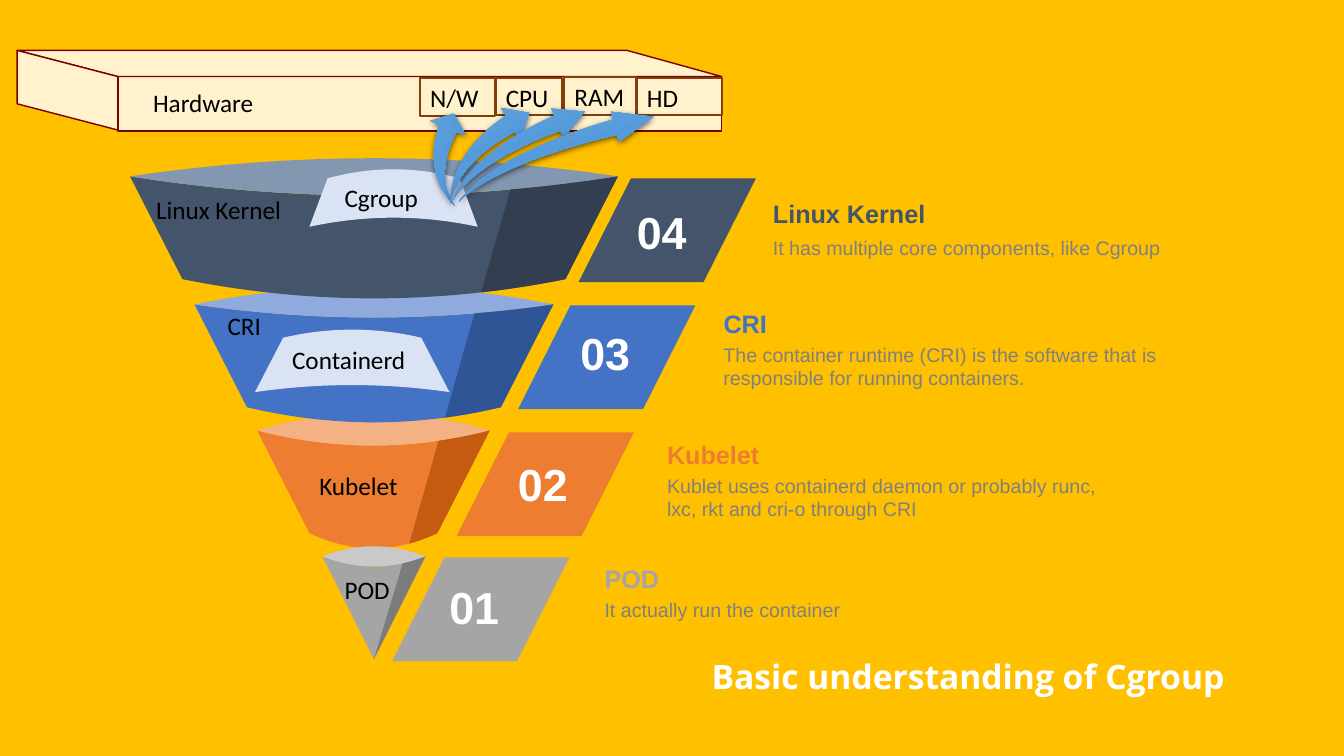
from copy import deepcopy
from dataclasses import dataclass
from math import cos, radians, sin

from lxml.etree import SubElement
from pptx import Presentation
from pptx.dml.color import RGBColor
from pptx.enum.shapes import MSO_SHAPE
from pptx.enum.text import MSO_ANCHOR, MSO_AUTO_SIZE, PP_ALIGN
from pptx.oxml.ns import qn
from pptx.util import Cm, Pt

Point = tuple[float, float]
Segment = list[Point]  # one point: line, two: quadratic curve, three: cubic curve

AMBER = RGBColor(0xFF, 0xC0, 0x00)
WHITE = RGBColor(0xFF, 0xFF, 0xFF)
BLACK = RGBColor(0x00, 0x00, 0x00)
GREY = RGBColor(0x80, 0x80, 0x80)
CREAM = RGBColor(0xFF, 0xF2, 0xCC)
MAROON = RGBColor(0x7A, 0x00, 0x00)
BROWN = RGBColor(0x84, 0x3C, 0x0B)
PALE_BLUE = RGBColor(0xDA, 0xE3, 0xF3)
# Body, rim and shaded side of each tier
SLATES = RGBColor(0x44, 0x54, 0x6A), RGBColor(0x84, 0x97, 0xB0), RGBColor(0x33, 0x3F, 0x50)
BLUES = RGBColor(0x44, 0x72, 0xC4), RGBColor(0x8F, 0xAA, 0xDC), RGBColor(0x2F, 0x55, 0x97)
ORANGES = RGBColor(0xED, 0x7D, 0x31), RGBColor(0xF4, 0xB1, 0x83), RGBColor(0xC5, 0x5A, 0x11)
SILVERS = RGBColor(0xA5, 0xA5, 0xA5), RGBColor(0xC9, 0xC9, 0xC9), RGBColor(0x7C, 0x7C, 0x7C)
ARROW_STOPS = RGBColor(0x71, 0xA6, 0xDB), RGBColor(0x55, 0x9B, 0xDB), RGBColor(0x44, 0x8A, 0xCA)

TIER_HEIGHT, TIER_INSET, SHADE_START = 1.02, 0.52, 0.78
PLATE_W, PLATE_H, PLATE_SLANT = 1.76, 1.03, 0.52


@dataclass
class Arc:
    """A shallow parabola; a positive sag hangs down."""
    left: float
    right: float
    y: float
    sag: float

    def blend(self, t: float, u: float) -> Point:
        """Point at t when t == u, else the control point between t and u."""
        return (self.left + (self.right - self.left) * (t + u) / 2,
                self.y + 4 * self.sag * ((t + u) / 2 - t * u))

    def curve(self, start: float, end: float) -> list[Segment]:
        ts = [start, 0.5, end] if min(start, end) < 0.5 else [start, end]
        return [[self.blend(t, u), self.blend(u, u)] for t, u in zip(ts, ts[1:])]


@dataclass
class Tier:
    number: str
    name: str
    detail: str
    colors: tuple[RGBColor, RGBColor, RGBColor]
    back: Arc
    lip: Arc
    sag: float
    label: Point
    label_w: float
    plate: Point
    number_at: Point
    caption: Point
    caption_w: float
    detail_gap: float
    detail_h: float


@dataclass
class Arrow:
    center: Point
    rotation: float
    tip: Point
    left_wing: Point
    left_neck: Point
    left_bend: Point
    tail: Point
    right_bend: Point
    right_neck: Point
    right_wing: Point


# Back to front: each upper tier covers the rim of the one below it
TIERS = [
    Tier("02", "Kubelet", "Kublet uses containerd daemon or probably runc, lxc, rkt and cri-o through CRI",
         ORANGES, Arc(2.55, 4.86, 4.27, -0.17), Arc(2.55, 4.86, 4.27, 0.15), 0.15,
         (3.07, 4.62), 1.04, (4.53, 4.29), (5.04, 4.48), (6.52, 4.31), 4.04, 0.34, 0.57),
    Tier("03", "CRI", "The container runtime (CRI) is the software that is responsible for running containers.",
         BLUES, Arc(1.93, 5.49, 3.02, -0.18), Arc(1.93, 5.49, 3.02, 0.13), 0.15,
         (2.16, 3.03), 0.64, (5.14, 3.03), (5.66, 3.18), (7.08, 3.01), 1.35, 0.34, 0.57),
    Tier("04", "Linux Kernel", "It has multiple core components, like Cgroup",
         SLATES, Arc(1.29, 6.13, 1.75, -0.18), Arc(1.29, 6.13, 1.75, 0.19), 0.19,
         (1.45, 1.88), 1.54, (5.74, 1.77), (6.22, 1.98), (7.57, 1.92), 4.39, 0.37, 0.34),
    Tier("01", "POD", "It actually run the container",
         SILVERS, Arc(3.2, 4.22, 5.52, -0.1), Arc(3.2, 4.22, 5.52, 0.1), 0,
         (3.32, 5.65), 0.82, (3.89, 5.53), (4.36, 5.7), (5.9, 5.54), 4.37, 0.34, 0.34),
]
CHIPS = [("CPU", 4.92, 0.77, 0.66, 0.37), ("HD", 6.32, 0.77, 0.84, 0.37),
         ("N/W", 4.17, 0.77, 0.74, 0.38), ("RAM", 5.6, 0.76, 0.71, 0.38)]
ARROWS = [
    Arrow((4.42, 1.55), 292.1, (4.5, 1.13), (4.27, 1.2), (4.36, 1.24), (4.16, 1.68),
          (4.51, 2.04), (4.28, 1.73), (4.53, 1.31), (4.62, 1.34)),
    Arrow((4.81, 1.49), 328.5, (5.25, 1.12), (4.97, 1.07), (5.02, 1.15), (4.46, 1.48),
          (4.47, 2.02), (4.53, 1.59), (5.11, 1.31), (5.16, 1.39)),
    Arrow((5.12, 1.48), 337, (5.8, 1.11), (5.47, 1.08), (5.5, 1.15), (4.68, 1.49),
          (4.49, 1.99), (4.73, 1.58), (5.56, 1.3), (5.59, 1.37)),
    Arrow((5.5, 1.51), 344.6, (6.48, 1.16), (6.06, 1.11), (6.08, 1.19), (4.93, 1.49),
          (4.55, 2), (4.97, 1.59), (6.12, 1.34), (6.14, 1.41)),
]


def length(units: float) -> Cm:
    """Turn layout units of 2.54 cm into a length."""
    return Cm(units * 2.54)


def paint(sp, fill: RGBColor | None, line: RGBColor | None = None, width: float = 1) -> None:
    sp.shadow.inherit = False
    if fill is None:
        sp.fill.background()
    else:
        sp.fill.solid()
        sp.fill.fore_color.rgb = fill
    if line is None:
        sp.line.fill.background()
    else:
        sp.line.color.rgb = line
        sp.line.width = Pt(width)


def add_outline(shapes, start: Point, segments: list[Segment], fill: RGBColor,
                line: RGBColor | None = None):
    """Draw a closed outline, turning runs of control points into curves."""
    builder = shapes.build_freeform(*map(length, start))
    builder.add_line_segments([(length(x), length(y)) for seg in segments for x, y in seg])
    sp = builder.convert_to_shape()
    outline = next(sp._element.iter(qn("a:path")))
    steps = iter(list(outline)[1:])
    for seg in segments:
        pts = [next(steps) for _ in seg]
        if len(seg) > 1:
            curve = SubElement(outline, qn("a:quadBezTo" if len(seg) == 2 else "a:cubicBezTo"))
            pts[0].addprevious(curve)
            for pt in pts:
                curve.append(pt[0])
                outline.remove(pt)
    SubElement(outline, qn("a:close"))
    paint(sp, fill, line)
    return sp


def add_ribbon(shapes, upper: Arc, lower: Arc, fill: RGBColor, start: float = 0) -> None:
    """Fill the area between two arcs, from a fraction of their width to the right end."""
    segments = upper.curve(start, 1) + [[lower.blend(1, 1)]] + lower.curve(1, start)
    add_outline(shapes, upper.blend(start, start), segments, fill)


def write(sp, text: str, size: float = 18, font: str = "Calibri",
          color: RGBColor = BLACK, bold: bool = False) -> None:
    tf = sp.text_frame
    tf.text, tf.word_wrap, tf.auto_size = text, True, MSO_AUTO_SIZE.NONE
    tf.vertical_anchor = MSO_ANCHOR.TOP
    p = tf.paragraphs[0]
    p.alignment = PP_ALIGN.LEFT
    f = p.runs[0].font
    f.size, f.name, f.bold, f.color.rgb = Pt(size), font, bold, color


def add_text(shapes, at: Point, w: float, h: float, text: str, *style) -> None:
    write(shapes.add_textbox(*map(length, (*at, w, h))), text, *style)


def add_box(shapes, box: tuple, fill: RGBColor | None, line: RGBColor | None = None, width: float = 1):
    sp = shapes.add_shape(MSO_SHAPE.RECTANGLE, *map(length, box))
    paint(sp, fill, line, width)
    return sp


def add_tier(shapes, tier: Tier) -> None:
    body, rim, shade = tier.colors
    lip = tier.lip
    inset = min(TIER_INSET, (lip.right - lip.left) / 2)
    base = Arc(lip.left + inset, lip.right - inset, lip.y + TIER_HEIGHT, tier.sag)
    group = shapes.add_group_shape().shapes
    add_ribbon(group, lip, base, body)
    add_ribbon(group, tier.back, lip, rim)
    add_ribbon(group, lip, base, shade, SHADE_START)
    add_text(group, tier.label, tier.label_w, 0.4, tier.name)
    x, y = tier.plate
    add_outline(shapes, (x + PLATE_SLANT, y), [[(x + PLATE_W, y)],
                [(x + PLATE_W - PLATE_SLANT, y + PLATE_H)], [(x, y + PLATE_H)]], body)
    add_text(shapes, tier.number_at, 0.86, 0.64, tier.number, 32, "Arial", WHITE, True)
    x, y = tier.caption
    caption = shapes.add_group_shape().shapes
    add_text(caption, (x, y), tier.caption_w, 0.4, tier.name, 18, "Arial", body, True)
    add_text(caption, (x, y + tier.detail_gap), 4.7, tier.detail_h, tier.detail, 14, "Arial", GREY)


def add_hardware(shapes) -> None:
    group = shapes.add_group_shape().shapes
    add_box(group, (1.17, 0.76, 5.99, 0.54), CREAM, MAROON)
    for far, near in (((6.22, 0.5), (7.16, 0.76)), ((0.17, 1.03), (1.17, 1.29))):
        add_outline(group, (0.17, 0.5), [[far], [near], [(1.17, 0.76)]], CREAM, MAROON)
    for name, *box in CHIPS:
        write(add_box(group, box, None, BROWN, 1.5), name)
    add_text(group, (1.42, 0.82), 1.39, 0.37, "Hardware")


def add_arrow(shapes, a: Arrow) -> None:
    def unturn(point: Point) -> Point:
        angle = radians(-a.rotation)
        dx, dy = point[0] - a.center[0], point[1] - a.center[1]
        return (a.center[0] + dx * cos(angle) - dy * sin(angle),
                a.center[1] + dx * sin(angle) + dy * cos(angle))

    segments = [[a.left_wing], [a.left_neck], [a.left_neck, a.left_bend, a.tail],
                [a.right_bend, a.right_neck, a.right_neck], [a.right_wing]]
    sp = add_outline(shapes, unturn(a.tip), [list(map(unturn, seg)) for seg in segments], ARROW_STOPS[1])
    sp.rotation = a.rotation
    sp.fill.gradient()
    sp.fill.gradient_angle = 270
    stops = next(sp._element.iter(qn("a:gsLst")))
    stops.insert(1, deepcopy(stops[0]))
    for i, (stop, color) in enumerate(zip(sp.fill.gradient_stops, ARROW_STOPS)):
        stop.position, stop.color.rgb = i / 2, color
    shadow = SubElement(next(sp._element.iter(qn("a:effectLst"))), qn("a:outerShdw"),
                        blurRad="57150", dist="19050", dir="5400000", rotWithShape="0")
    SubElement(SubElement(shadow, qn("a:srgbClr"), val="000000"), qn("a:alpha"), val="63000")


def main() -> None:
    prs = Presentation()
    prs.slide_width, prs.slide_height = Cm(33.87), Cm(19.05)
    s = prs.slides.add_slide(prs.slide_layouts[5])
    s.background.fill.solid()
    s.background.fill.fore_color.rgb = AMBER
    title = s.shapes.title
    title.left, title.top, title.width, title.height = map(length, (6.96, 6.46, 5.92, 0.5))
    write(title, "Basic understanding of Cgroup", 24, "Open Sans", WHITE, True)
    for tier in TIERS:
        add_tier(s.shapes, tier)
    add_hardware(s.shapes)
    cgroup = s.shapes.add_group_shape().shapes
    add_ribbon(cgroup, Arc(3.25, 4.56, 1.77, -0.09), Arc(3.07, 4.74, 2.25, -0.09), PALE_BLUE)
    add_text(cgroup, (3.32, 1.76), 1.03, 0.25, "Cgroup")
    containerd = s.shapes.add_group_shape().shapes
    add_ribbon(containerd, Arc(2.81, 4.18, 3.35, -0.08), Arc(2.53, 4.46, 3.89, -0.07), PALE_BLUE)
    write(add_box(containerd, (2.8, 3.37, 1.36, 0.24), PALE_BLUE), "Containerd")
    for arrow in ARROWS:
        add_arrow(s.shapes, arrow)
    prs.save("out.pptx")


if __name__ == "__main__":
    main()
